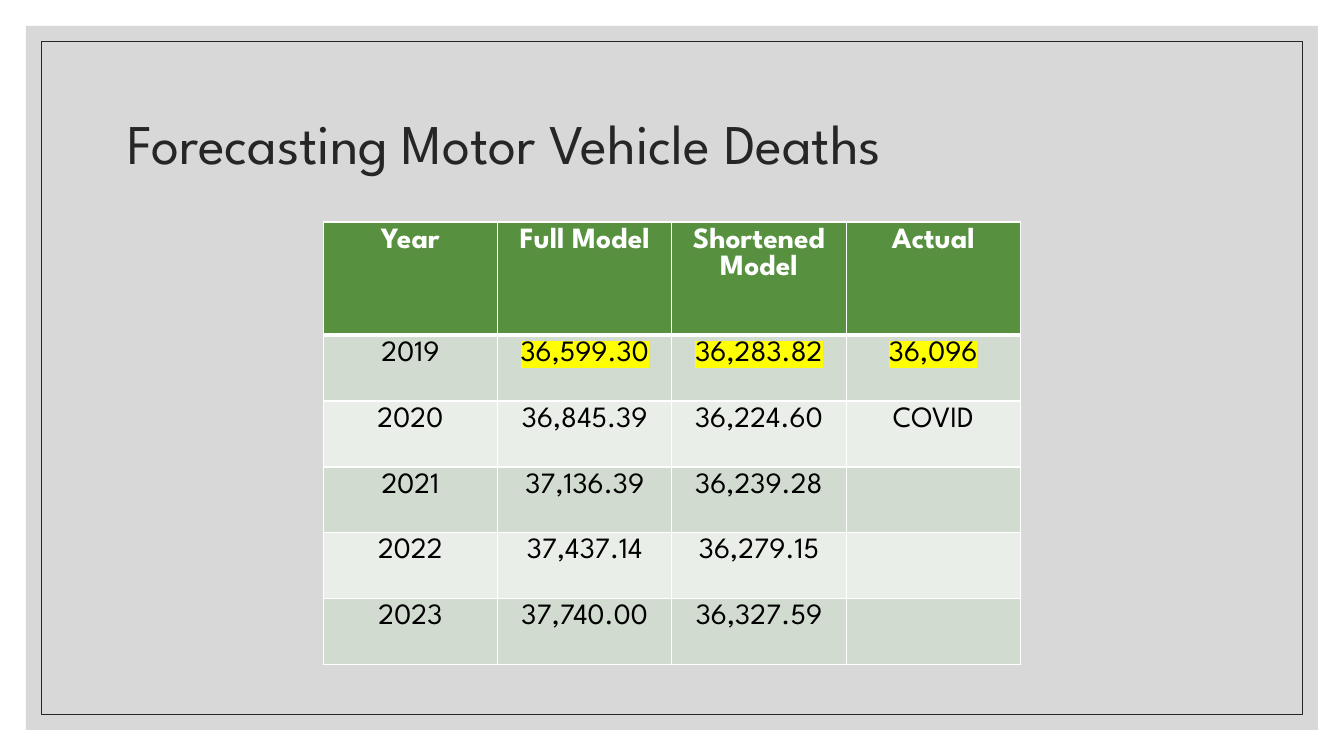
from dataclasses import dataclass

from lxml.etree import SubElement
from pptx import Presentation
from pptx.dml.color import RGBColor
from pptx.enum.shapes import MSO_SHAPE
from pptx.enum.text import MSO_ANCHOR, PP_ALIGN
from pptx.oxml.ns import qn
from pptx.slide import Slide
from pptx.table import _Cell
from pptx.text.text import _Paragraph
from pptx.util import Pt


@dataclass(frozen=True)
class Theme:
    font: str = "League Spartan"
    title_size: float = 40
    table_size: float = 21
    ink: str = "262626"
    panel: str = "BFBFBF"
    header: str = "57903F"
    odd_row: str = "D1DBCF"
    even_row: str = "EAEEE8"
    white: str = "FFFFFF"
    black: str = "000000"
    highlight: str = "FFFF00"


@dataclass(frozen=True)
class Frame:
    left: float
    top: float
    width: float
    height: float

    def lengths(self) -> list[Pt]:
        return [Pt(value) for value in (self.left, self.top, self.width, self.height)]


@dataclass(frozen=True)
class Forecast:
    year: str
    full_model: str
    shortened_model: str
    actual: str = ""
    highlighted: bool = False

    def texts(self) -> list[str]:
        return [self.year, self.full_model, self.shortened_model, self.actual]


THEME = Theme()
PAGE = Frame(0, 0, 960, 540)
PANEL = Frame(18.6, 18.6, 922.8, 502.8)
OUTLINE = Frame(29.4, 29.4, 901.2, 481.2)
TITLE = Frame(84, 50.4, 792, 108)
TABLE = Frame(230.9, 158.6, 498, 316.3)
HEADER_HEIGHT = 80.8
THIN_BORDER, THICK_BORDER = 1, 3

HEADINGS = ["Year", "Full Model", "Shortened Model", "Actual"]
FORECASTS = [
    Forecast("2019", "36,599.30", "36,283.82", "36,096", highlighted=True),
    Forecast("2020", "36,845.39", "36,224.60", "COVID"),
    Forecast("2021", "37,136.39", "36,239.28"),
    Forecast("2022", "37,437.14", "36,279.15"),
    Forecast("2023", "37,740.00", "36,327.59"),
]


def color(value: str) -> RGBColor:
    return RGBColor.from_string(value)


def apply(target: object, formats: dict[str, object]) -> None:
    for name, value in formats.items():
        setattr(target, name, value)


def write(para: _Paragraph, text: str, size: float, ink: str,
          bold: bool = False, highlight: str = "") -> None:
    span = para.add_run()
    span.text = text
    apply(span.font, {"name": THEME.font, "size": Pt(size), "bold": bold})
    span.font.color.rgb = color(ink)
    if highlight:
        properties = span.font._element
        marker = SubElement(properties, qn("a:highlight"))
        SubElement(marker, qn("a:srgbClr"), val=highlight)
        properties.find(qn("a:solidFill")).addnext(marker)


def add_background(page: Slide) -> None:
    panel, outline = (
        page.shapes.add_shape(MSO_SHAPE.RECTANGLE, *frame.lengths())
        for frame in (PANEL, OUTLINE)
    )
    panel.shadow.inherit = outline.shadow.inherit = False
    panel.fill.solid()
    panel.fill.fore_color.rgb = color(THEME.panel)
    tint = panel.fill._xPr.find(f"{qn('a:solidFill')}/{qn('a:srgbClr')}")
    SubElement(tint, qn("a:alpha"), val="60000")
    panel.line.fill.background()
    outline.fill.background()
    outline.line.color.rgb = color(THEME.ink)
    outline.line.width = Pt(0.5)


def add_title(page: Slide, text: str) -> None:
    box = page.shapes.add_textbox(*TITLE.lengths()).text_frame
    apply(box, {"word_wrap": True, "vertical_anchor": MSO_ANCHOR.MIDDLE})
    para = box.paragraphs[0]
    para.line_spacing = 0.9
    write(para, text, THEME.title_size, THEME.ink)


def format_cell(cell: _Cell, fill: str, top: float, bottom: float) -> None:
    """Set the borders before the fill, as the schema orders them."""
    apply(cell, {"margin_left": Pt(7.6), "margin_right": Pt(7.6),
                 "margin_top": Pt(4), "margin_bottom": Pt(4),
                 "vertical_anchor": MSO_ANCHOR.TOP})
    properties = cell._tc.get_or_add_tcPr()
    widths = {"lnL": THIN_BORDER, "lnR": THIN_BORDER, "lnT": top, "lnB": bottom}
    for side, width in widths.items():
        border = SubElement(properties, qn(f"a:{side}"), w=str(Pt(width)))
        paint = SubElement(border, qn("a:solidFill"))
        SubElement(paint, qn("a:srgbClr"), val=THEME.white)
    cell.fill.solid()
    cell.fill.fore_color.rgb = color(fill)


def add_forecast_table(page: Slide) -> None:
    rows = [HEADINGS] + [forecast.texts() for forecast in FORECASTS]
    table = page.shapes.add_table(len(rows), len(HEADINGS), *TABLE.lengths()).table
    table.horz_banding = False
    for column in table.columns:
        column.width = Pt(TABLE.width / len(HEADINGS))
    body_height = (TABLE.height - HEADER_HEIGHT) / len(FORECASTS)

    for row_index, texts in enumerate(rows):
        is_header = row_index == 0
        table.rows[row_index].height = Pt(HEADER_HEIGHT if is_header else body_height)
        band = THEME.odd_row if row_index % 2 else THEME.even_row
        fill = THEME.header if is_header else band
        ink = THEME.white if is_header else THEME.black
        top = THICK_BORDER if row_index == 1 else THIN_BORDER
        bottom = THICK_BORDER if is_header else THIN_BORDER
        highlighted = not is_header and FORECASTS[row_index - 1].highlighted
        for column_index, text in enumerate(texts):
            cell = table.cell(row_index, column_index)
            format_cell(cell, fill, top, bottom)
            para = cell.text_frame.paragraphs[0]
            para.alignment = PP_ALIGN.CENTER
            if text:
                marker = THEME.highlight if highlighted and column_index else ""
                write(para, text, THEME.table_size, ink, is_header, marker)


def main() -> None:
    deck = Presentation()
    apply(deck, {"slide_width": Pt(PAGE.width), "slide_height": Pt(PAGE.height)})
    page = deck.slides.add_slide(deck.slide_layouts[6])
    add_background(page)
    add_title(page, "Forecasting Motor Vehicle Deaths")
    add_forecast_table(page)
    deck.save("out.pptx")


if __name__ == "__main__":
    main()
